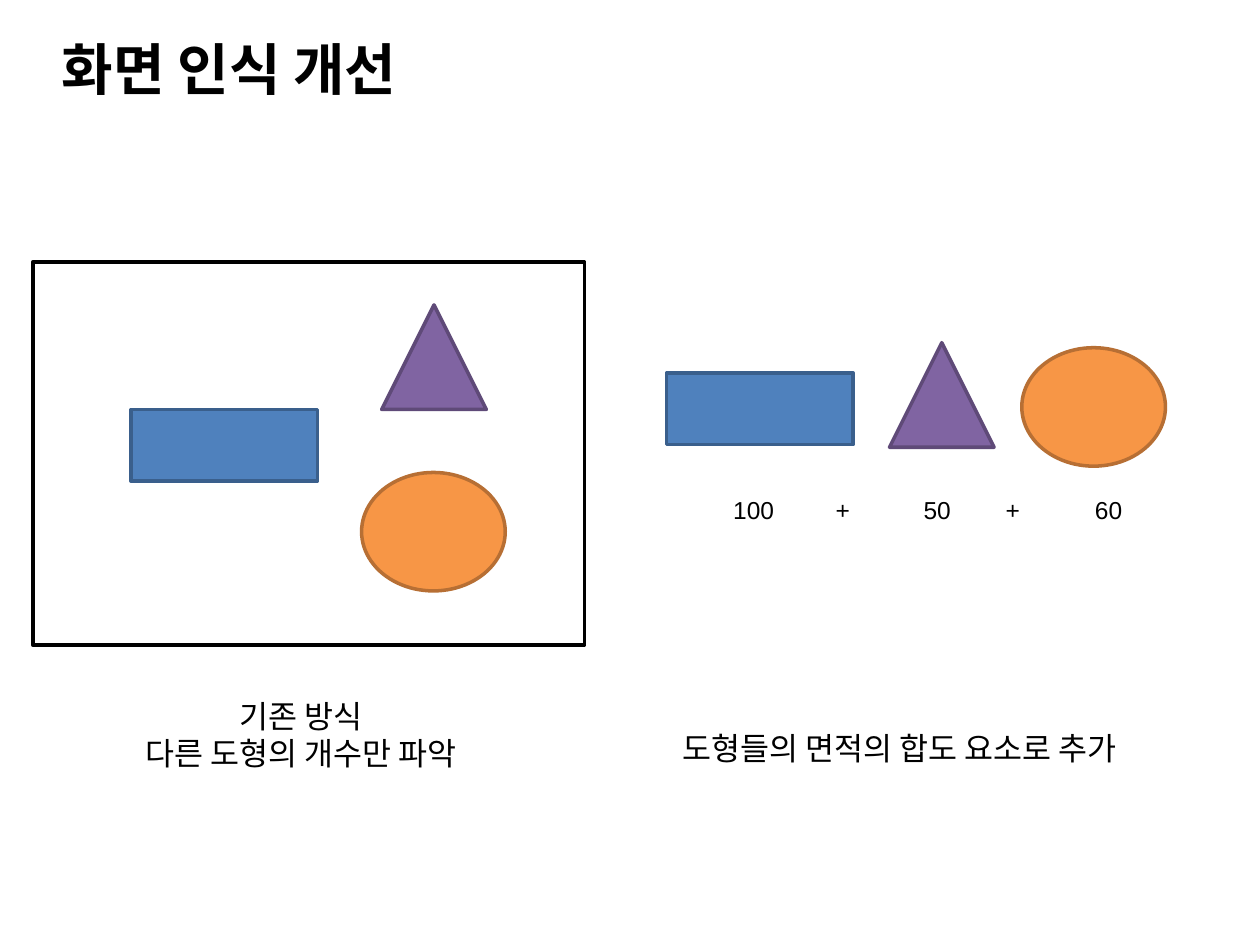
from pptx import Presentation
from pptx.dml.color import RGBColor
from pptx.enum.shapes import MSO_SHAPE
from pptx.enum.text import MSO_ANCHOR, PP_ALIGN
from pptx.oxml.ns import qn
from pptx.util import Inches, Pt
from lxml.etree import SubElement

COLORS = {
    "black": "000000",
    "blue": "4F81BD",
    "blue_edge": "3A5F8C",
    "purple": "8064A2",
    "purple_edge": "5F4A78",
    "orange": "F79646",
    "orange_edge": "B76F34",
}
KOREAN_FONT = "Noto Sans CJK KR"
FIGURES = {
    "rectangle": (MSO_SHAPE.RECTANGLE, 1.48, 0.57, "blue"),
    "triangle": (MSO_SHAPE.ISOSCELES_TRIANGLE, 0.83, 0.83, "purple"),
    "ellipse": (MSO_SHAPE.OVAL, 1.14, 0.94, "orange"),
}


def color(name):
    return RGBColor.from_string(COLORS[name])


def format_text(frame, size, font, align, bold=False, spacing=None):
    for para in frame.paragraphs:
        para.alignment = align
        if spacing:
            para.line_spacing = spacing
        for span in para.runs:
            span.font.size = Pt(size)
            span.font.name = font
            span.font.bold = bold
            span.font.color.rgb = color("black")
            east_asian = SubElement(span.font._element, qn("a:ea"))
            east_asian.set("typeface", KOREAN_FONT)


def add_outline(page, kind, box, edge, fill=None):
    shape = page.shapes.add_shape(kind, *map(Inches, box))
    shape.shadow.inherit = False
    if fill:
        shape.fill.solid()
        shape.fill.fore_color.rgb = color(fill)
    else:
        shape.fill.background()
    shape.line.color.rgb = color(edge)
    shape.line.width = Pt(2)


def add_figures(page, left, top, offsets):
    for name, (dx, dy) in offsets.items():
        kind, width, height, fill = FIGURES[name]
        box = (left + dx, top + dy, width, height)
        add_outline(page, kind, box, f"{fill}_edge", fill)


def add_text(page, box, text, size, font, align, wrap=False, spacing=None):
    frame = page.shapes.add_textbox(*map(Inches, box)).text_frame
    frame.word_wrap = wrap
    frame.text = text
    format_text(frame, size, font, align, spacing=spacing)
    return frame


def add_title(page, box):
    title = page.shapes.title
    title.left, title.top, title.width, title.height = map(Inches, box)
    frame = title.text_frame
    frame.text = "화면 인식 개선"
    frame.vertical_anchor = MSO_ANCHOR.MIDDLE
    format_text(frame, 32, KOREAN_FONT, PP_ALIGN.LEFT, bold=True)


def add_existing_method(page, left, top, width, height):
    add_outline(page, MSO_SHAPE.RECTANGLE, (left, top, width, height), "black")
    add_figures(page, left, top, {
        "rectangle": (0.78, 1.17),
        "triangle": (2.77, 0.34),
        "ellipse": (2.61, 1.67),
    })
    add_text(page, (left + 0.63, top + height + 0.36, 2.99, 0.71),
             "기존 방식\n다른 도형의 개수만 파악", 18, "Arial", PP_ALIGN.CENTER)


def add_area_sum(page, left, top):
    add_figures(page, left, top, {
        "rectangle": (0, 0.24),
        "triangle": (1.77, 0),
        "ellipse": (2.82, 0.04),
    })
    formula = add_text(page, (left + 0.43, top + 1.16, 3.31, 0.34),
                       "100\t+\t50\t+\t60", 14, "Arial", PP_ALIGN.LEFT, wrap=True)
    properties = formula.paragraphs[0]._p.get_or_add_pPr()
    stops = SubElement(properties, qn("a:tabLst"))
    for position in (0.87, 1.62, 2.22, 2.98):
        stop = SubElement(stops, qn("a:tab"))
        stop.set("pos", str(Inches(position)))
        stop.set("algn", "ctr")
    add_text(page, (left + 0.03, top + 2.87, 4.09, 0.5),
             "도형들의 면적의 합도 요소로 추가", 18, KOREAN_FONT,
             PP_ALIGN.JUSTIFY, spacing=1.5)


def main():
    deck = Presentation()
    deck.slide_width, deck.slide_height = Inches(10), Inches(7.5)
    page = deck.slides.add_slide(deck.slide_layouts[5])
    add_title(page, (0.39, 0.22, 9, 0.64))
    add_existing_method(page, 0.26, 2.08, 4.38, 3.04)
    add_area_sum(page, 5.29, 2.72)
    deck.save("out.pptx")


if __name__ == "__main__":
    main()
